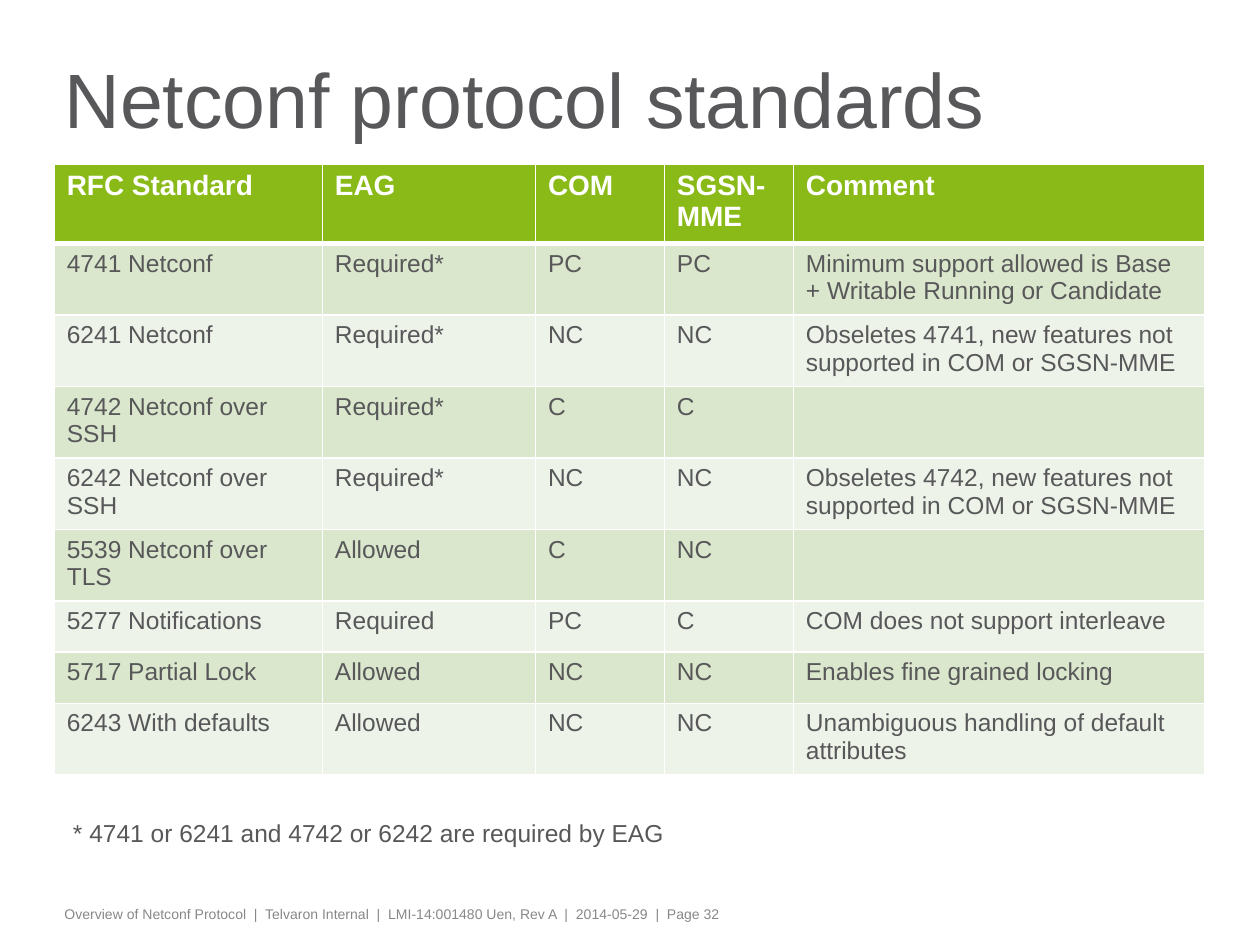
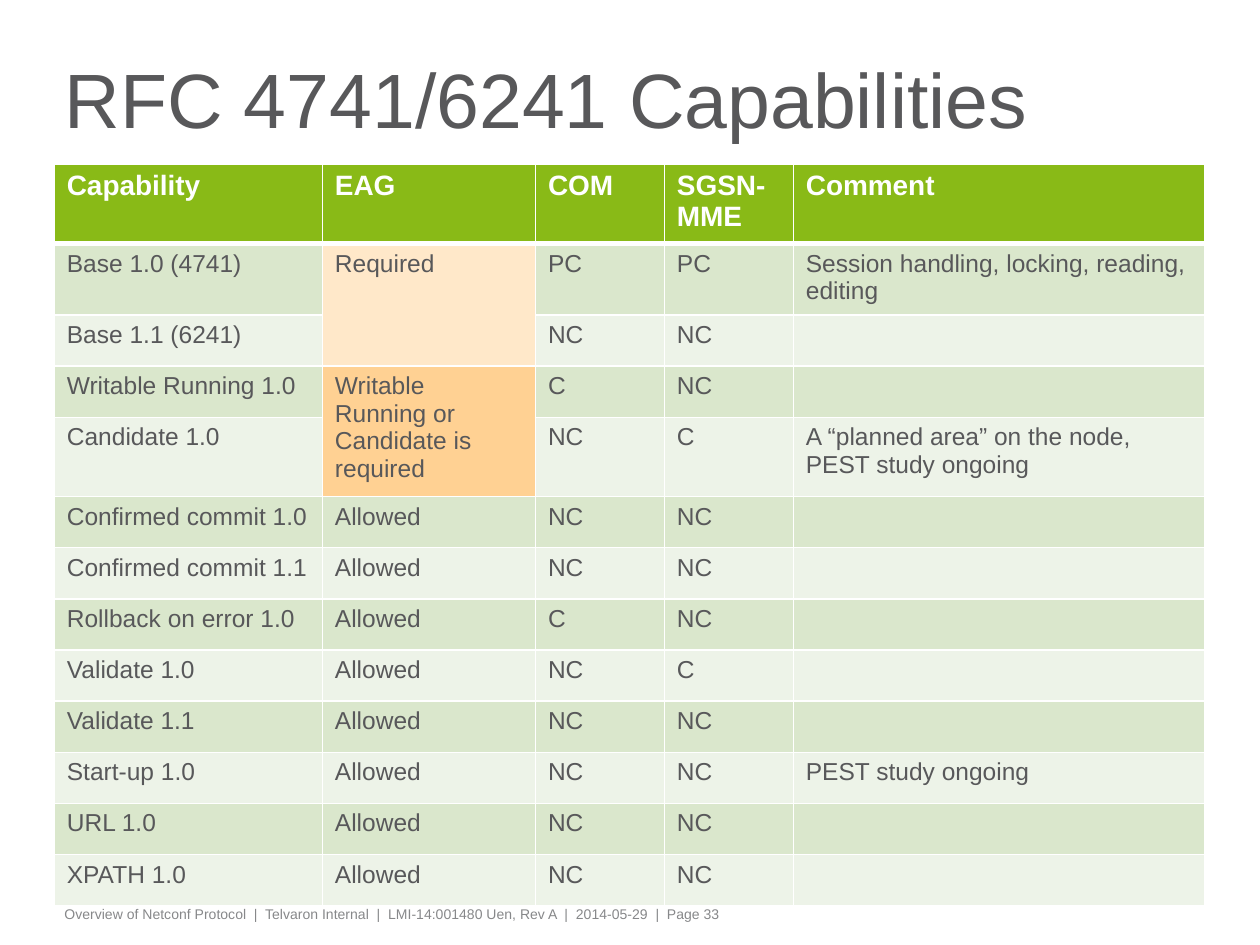
from lxml.etree import SubElement
from pptx import Presentation
from pptx.dml.color import RGBColor
from pptx.enum.text import MSO_ANCHOR as Anchor, MSO_AUTO_SIZE as AutoSize, PP_ALIGN as Align
from pptx.oxml.ns import qn
from pptx.util import Pt

COLORS = {
    "white": "FFFFFF",
    "text": "58585A",
    "footer": "87888A",
    "header": "89BA17",
    "odd row": "DAE7CC",
    "even row": "EDF3E8",
    "light orange": "FFE8C9",
    "orange": "FFD193",
}
FONT = "Arial"
FOOTER = "Overview of Netconf Protocol  |  Telvaron Internal  |  LMI-14:001480 Uen, Rev A  |  2014-05-29  |  Page {}"
FIRST_PAGE = 32
LEFT = 31
COLUMN_WIDTHS = [153.2, 121.8, 73.7, 73.7, 235.2]
HEADER_HEIGHT, TALL_ROW, SHORT_ROW = 45.2, 40.8, 29.25
SHARED_HEADINGS = ["EAG", "COM", "SGSN-MME", "Comment"]

# "tall" lists the rows with two lines; "merged" maps a first row of a two-row EAG cell to its fill.
PAGES = [
    {
        "title": "Netconf protocol standards",
        "heading": "RFC Standard",
        "rows": [
            ["4741 Netconf", "Required*", "PC", "PC",
             "Minimum support allowed is Base + Writable Running or Candidate"],
            ["6241 Netconf", "Required*", "NC", "NC",
             "Obseletes 4741, new features not supported in COM or SGSN-MME"],
            ["4742 Netconf over SSH", "Required*", "C", "C", ""],
            ["6242 Netconf over SSH", "Required*", "NC", "NC",
             "Obseletes 4742, new features not supported in COM or SGSN-MME"],
            ["5539 Netconf over TLS", "Allowed", "C", "NC", ""],
            ["5277 Notifications", "Required", "PC", "C", "COM does not support interleave"],
            ["5717 Partial Lock", "Allowed", "NC", "NC", "Enables fine grained locking"],
            ["6243 With defaults", "Allowed", "NC", "NC", "Unambiguous handling of default attributes"],
        ],
        "tall": {1, 2, 3, 4, 5, 8},
        "merged": {},
        "footnote": "* 4741 or 6241 and 4742 or 6242 are required by EAG",
    },
    {
        "title": "RFC 4741/6241 Capabilities",
        "heading": "Capability",
        "rows": [
            ["Base 1.0 (4741)", "Required", "PC", "PC", "Session handling, locking, reading, editing"],
            ["Base 1.1 (6241)", "", "NC", "NC", ""],
            ["Writable Running 1.0", "Writable Running or Candidate is required", "C", "NC", ""],
            ["Candidate 1.0", "", "NC", "C", "A “planned area” on the node, PEST study ongoing"],
            ["Confirmed commit 1.0", "Allowed", "NC", "NC", ""],
            ["Confirmed commit 1.1", "Allowed", "NC", "NC", ""],
            ["Rollback on error 1.0", "Allowed", "C", "NC", ""],
            ["Validate 1.0", "Allowed", "NC", "C", ""],
            ["Validate 1.1", "Allowed", "NC", "NC", ""],
            ["Start-up 1.0", "Allowed", "NC", "NC", "PEST study ongoing"],
            ["URL 1.0", "Allowed", "NC", "NC", ""],
            ["XPATH 1.0", "Allowed", "NC", "NC", ""],
        ],
        "tall": {1, 4},
        "merged": {1: "light orange", 3: "orange"},
        "footnote": "",
    },
]


def write_text(frame, text, size=14, color="text", bold=False, spacing=None, margins=(7.2, 3.6)):
    """Put one left-aligned paragraph in a frame; margins are (sides, top and bottom)."""
    frame.word_wrap = True
    frame.margin_left = frame.margin_right = Pt(margins[0])
    frame.margin_top = frame.margin_bottom = Pt(margins[1])
    para = frame.paragraphs[0]
    para.alignment = Align.LEFT
    para.line_spacing = spacing
    span = para.add_run()
    span.text = text
    span.font.name = FONT
    span.font.size = Pt(size)
    span.font.bold = bold
    span.font.color.rgb = RGBColor.from_string(COLORS[color])


def format_cell(cell, fill, top=1, bottom=1):
    """Add white borders, with widths in points, and then the fill."""
    properties = cell._tc.get_or_add_tcPr()
    for side, width in (("L", 1), ("R", 1), ("T", top), ("B", bottom)):
        line = SubElement(properties, qn(f"a:ln{side}"), w=str(Pt(width)))
        SubElement(SubElement(line, qn("a:solidFill")), qn("a:srgbClr"), val=COLORS["white"])
    cell.fill.solid()
    cell.fill.fore_color.rgb = RGBColor.from_string(COLORS[fill])


deck = Presentation()
deck.slide_width, deck.slide_height = Pt(720), Pt(540)
title_only = deck.slide_layouts[5]

for number, page in enumerate(PAGES, FIRST_PAGE):
    slide = deck.slides.add_slide(title_only)

    title = slide.shapes.title
    title.left, title.top, title.width, title.height = Pt(LEFT), Pt(18.7), Pt(590.4), Pt(85.7)
    title.text_frame.auto_size = AutoSize.NONE
    title.text_frame.vertical_anchor = Anchor.MIDDLE
    write_text(title.text_frame, page["title"], size=44, spacing=0.75, margins=(5.8, 0))

    footer = slide.shapes.add_textbox(Pt(LEFT), Pt(514), Pt(582.5), Pt(17.3))
    write_text(footer.text_frame, FOOTER.format(number), size=8, color="footer", margins=(5.8, 3.6))

    rows = [[page["heading"], *SHARED_HEADINGS], *page["rows"]]
    heights = [HEADER_HEIGHT] + [
        TALL_ROW if row in page["tall"] else SHORT_ROW for row in range(1, len(rows))
    ]
    table = slide.shapes.add_table(
        len(rows), len(COLUMN_WIDTHS), Pt(LEFT), Pt(93.6), Pt(sum(COLUMN_WIDTHS)), Pt(sum(heights))
    ).table
    table.horz_banding = False
    for column, width in zip(table.columns, COLUMN_WIDTHS):
        column.width = Pt(width)

    for row, (texts, height) in enumerate(zip(rows, heights)):
        table.rows[row].height = Pt(height)
        is_header = row == 0
        row_fill = "header" if is_header else "odd row" if row % 2 else "even row"
        for column, text in enumerate(texts):
            cell = table.cell(row, column)
            fill = page["merged"].get(row, row_fill) if column == 1 else row_fill
            format_cell(cell, fill, top=3 if row == 1 else 1, bottom=3 if is_header else 1)
            if text:
                write_text(cell.text_frame, text, size=16 if is_header else 14,
                           color="white" if is_header else "text", bold=is_header)

    for row in page["merged"]:
        table.cell(row, 1).merge(table.cell(row + 1, 1))

    if page["footnote"]:
        footnote = slide.shapes.add_textbox(Pt(34.6), Pt(463.7), Pt(355), Pt(24.5))
        write_text(footnote.text_frame, page["footnote"])

deck.save("out.pptx")
